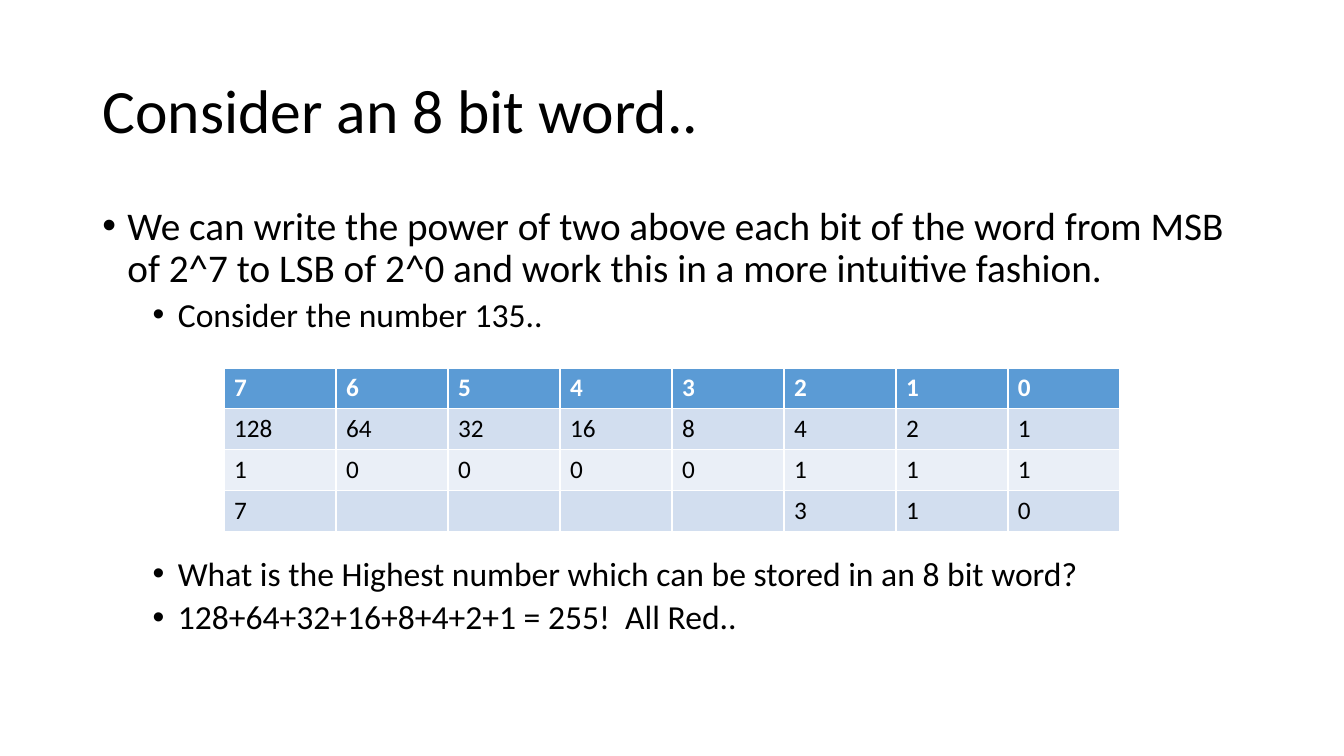
from lxml.etree import SubElement
from pptx import Presentation
from pptx.dml.color import RGBColor
from pptx.enum.text import MSO_ANCHOR, PP_ALIGN
from pptx.oxml.ns import qn
from pptx.util import Pt

BLACK, WHITE = "000000", "FFFFFF"
HEADER_FILL = "5B9BD5"
BAND_FILLS = ["EAEFF7", "D2DEEF"]

BULLETS = [
    (0, 0, "We can write the power of two above each bit of the word from MSB of 2^7 to LSB of 2^0 and work this in a more intuitive fashion."),
    (1, 5, "Consider the number 135.."),
    (1, 159, "What is the Highest number which can be stored in an 8 bit word?"),
    (1, 5, "128+64+32+16+8+4+2+1 = 255!  All Red.."),
]
BIT_ROWS = [
    ["7", "6", "5", "4", "3", "2", "1", "0"],
    ["128", "64", "32", "16", "8", "4", "2", "1"],
    ["1", "0", "0", "0", "0", "1", "1", "1"],
    ["7", "", "", "", "", "3", "1", "0"],
]


def color(value):
    return RGBColor.from_string(value)


def format_runs(para, size, value=BLACK, bold=False):
    for span in para.runs:
        span.font.name = "Calibri"
        span.font.size = Pt(size)
        span.font.bold = bold
        span.font.color.rgb = color(value)


def add_title(page, left, top, width, height):
    title = page.shapes.title
    title.left, title.top, title.width, title.height = map(Pt, (left, top, width, height))
    frame = title.text_frame
    frame.text = "Consider an 8 bit word.."
    frame.word_wrap = True
    frame.vertical_anchor = MSO_ANCHOR.MIDDLE
    para = frame.paragraphs[0]
    para.alignment = PP_ALIGN.LEFT
    para.line_spacing = 0.9
    format_runs(para, 44)


def add_bullets(page, left, top, width, height):
    box = page.shapes.add_textbox(Pt(left), Pt(top), Pt(width), Pt(height))
    frame = box.text_frame
    frame.word_wrap = True
    for index, (level, gap, text) in enumerate(BULLETS):
        para = frame.add_paragraph() if index else frame.paragraphs[0]
        para.text = text
        para.level = level
        para.line_spacing = 0.9
        para.space_before = Pt(gap)
        properties = para._p.get_or_add_pPr()
        properties.set("marL", str(Pt(18 + 36 * level)))
        properties.set("indent", str(-Pt(18)))
        SubElement(properties, qn("a:buFont"), typeface="Arial")
        SubElement(properties, qn("a:buChar"), char="•")
        format_runs(para, 28 - 4 * level)


def add_bit_table(page, left, top, width, height):
    frame = page.shapes.add_table(
        len(BIT_ROWS), len(BIT_ROWS[0]), Pt(left), Pt(top), Pt(width), Pt(height)
    )
    for row_index, row in enumerate(BIT_ROWS):
        header = row_index == 0
        for column_index, text in enumerate(row):
            cell = frame.table.cell(row_index, column_index)
            cell.text = text
            cell.fill.solid()
            cell.fill.fore_color.rgb = color(HEADER_FILL if header else BAND_FILLS[row_index % 2])
            format_runs(cell.text_frame.paragraphs[0], 18, WHITE if header else BLACK, header)


def build_slide(deck):
    page = deck.slides.add_slide(deck.slide_layouts[5])
    add_title(page, 66, 28.8, 828, 104.4)
    add_bullets(page, 66, 144, 828, 342.6)
    add_bit_table(page, 160, 262.8, 640, 116.8)


def main():
    deck = Presentation()
    deck.slide_width, deck.slide_height = Pt(960), Pt(540)
    build_slide(deck)
    deck.save("out.pptx")


if __name__ == "__main__":
    main()
